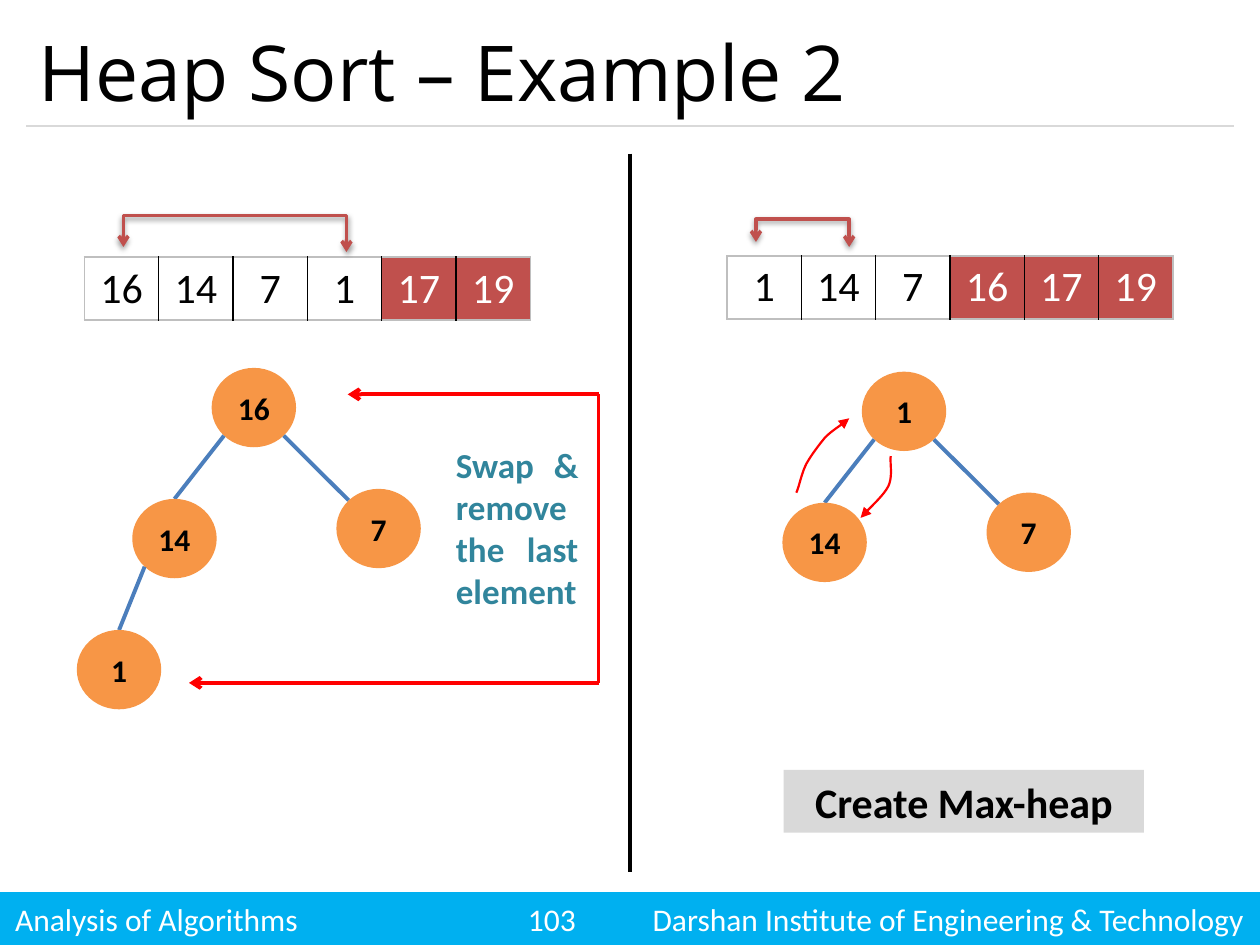
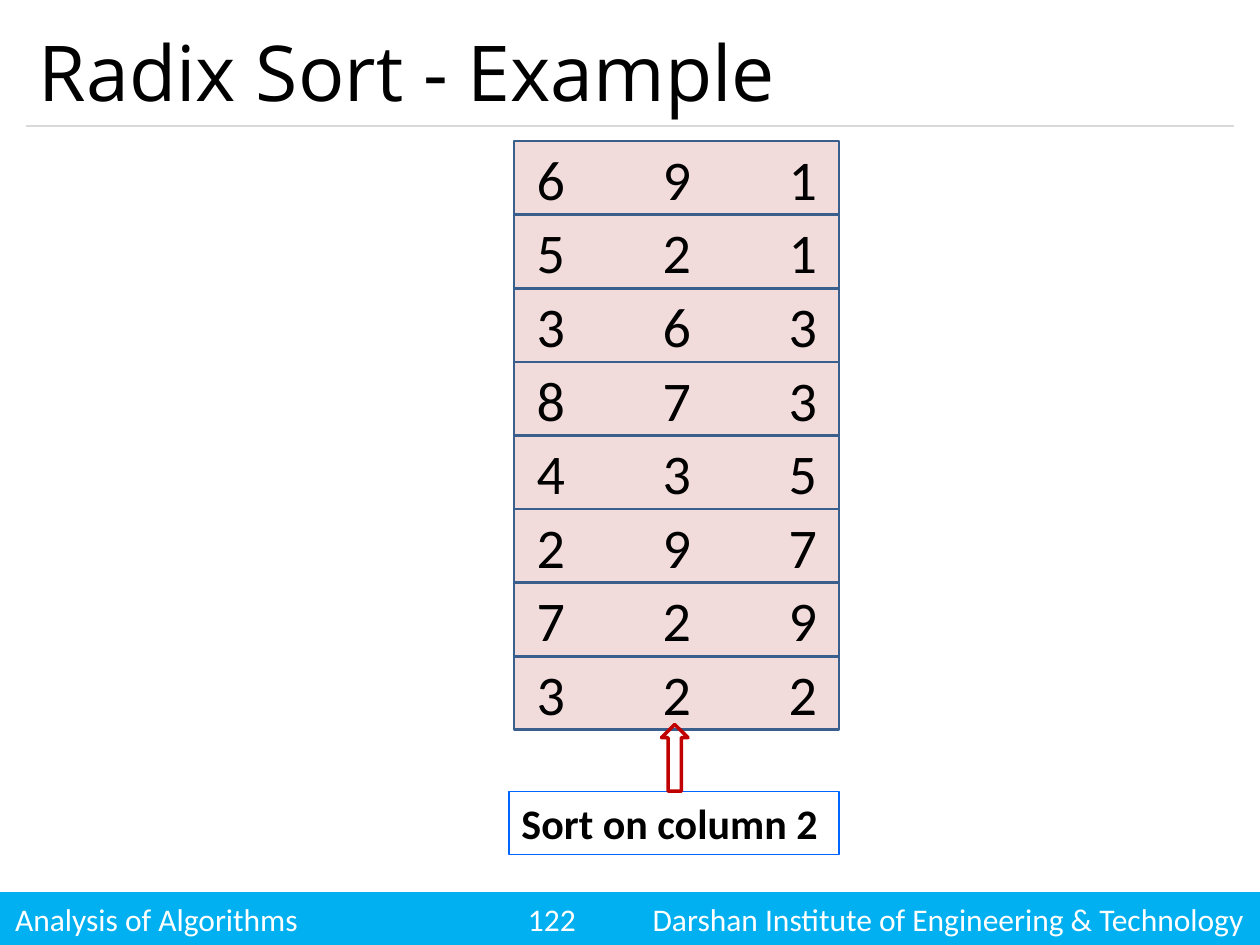
from pptx import Presentation
from pptx import util as u
from pptx.dml.color import RGBColor
from pptx.enum import shapes, text
from pptx.oxml import parse_xml
from pptx.oxml.ns import nsdecls, qn
from lxml import etree

COLORS = {
    "band": "00B0F0", "rule": "D9D9D9", "black": "000000", "white": "FFFFFF",
    "node": "F79646", "edge": "4B7EBC", "sorted": "C0504D", "grid": "BFBFBF",
    "red": "FF0000", "teal": "31859C", "label": "D9D9D9", "row": "F2DCDB",
    "row_line": "3A5F8C", "note_line": "0066FF", "marker": "C00000",
}
BODY, HEADING = "Calibri", "Open Sans"
ALIGN, ANCHOR = text.PP_ALIGN, text.MSO_ANCHOR
SHAPE = shapes.MSO_SHAPE
NODE_W, NODE_H = 0.67, 0.63
DIAGONAL = 0.354  # half-width of an ellipse at 45 degrees


def rgb(name):
    return RGBColor.from_string(COLORS[name])


def write(tf, words, size=18, color="black", bold=False, font=BODY,
          align=ALIGN.LEFT, anchor=ANCHOR.TOP, wrap=True, margins=None, tabs=()):
    tf.word_wrap = wrap
    tf.vertical_anchor = anchor
    if margins is not None:
        tf.margin_left, tf.margin_top, tf.margin_right, tf.margin_bottom = (
            u.Inches(m) for m in margins)
    p = tf.paragraphs[0]
    p.alignment = align
    if tabs:
        tab_list = etree.SubElement(p._p.get_or_add_pPr(), qn("a:tabLst"))
        for stop in tabs:
            etree.SubElement(tab_list, qn("a:tab"), pos=str(u.Inches(stop)), algn="l")
    r = p.add_run()
    r.text = words
    r.font.size, r.font.bold, r.font.name = u.Pt(size), bold, font
    r.font.color.rgb = rgb(color)


def add_text(slide, box, words, **fmt):
    write(slide.shapes.add_textbox(*map(u.Inches, box)).text_frame, words, **fmt)


def style(sp, fill=None, line=None, width=1):
    sp.shadow.inherit = False
    if fill:
        sp.fill.solid()
        sp.fill.fore_color.rgb = rgb(fill)
    else:
        sp.fill.background()
    if line:
        sp.line.color.rgb = rgb(line)
        sp.line.width = u.Pt(width)
    else:
        sp.line.fill.background()


def add_box(slide, kind, box, fill=None, line=None, width=1):
    sp = slide.shapes.add_shape(kind, *map(u.Inches, box))
    style(sp, fill, line, width)
    return sp


def add_arrowheads(sp, **ends):
    ln = sp.element.spPr.find(qn("a:ln"))
    for end in ("head", "tail"):
        if end in ends:
            etree.SubElement(ln, qn(f"a:{end}End"), type=ends[end])


def add_line(slide, start, end, color, width, **ends):
    line = slide.shapes.add_connector(
        shapes.MSO_CONNECTOR.STRAIGHT, *map(u.Inches, (*start, *end)))
    line.line.color.rgb = rgb(color)
    line.line.width = u.Pt(width)
    add_arrowheads(line, **ends)
    etree.SubElement(line.element.spPr, qn("a:effectLst"))


def add_path(slide, points, color, width, **ends):
    points = [(u.Inches(x), u.Inches(y)) for x, y in points]
    builder = slide.shapes.build_freeform(*points[0])
    builder.add_line_segments(points[1:], close=False)
    sp = builder.convert_to_shape()
    style(sp, line=color, width=width)
    add_arrowheads(sp, **ends)
    return sp


def bezier(points, steps=10):
    """Sample a chain of cubic curves: a start, then three points per curve."""
    samples = [points[0]]
    for i in range(0, len(points) - 1, 3):
        a, b, c, d = points[i:i + 4]
        for n in range(1, steps + 1):
            t = n / steps
            s = 1 - t
            samples.append(tuple(
                s**3 * a[k] + 3 * s * s * t * b[k] + 3 * s * t * t * c[k] + t**3 * d[k]
                for k in (0, 1)))
    return samples


# Shared slide frame: title, rule and footer band
def add_frame(prs, title, number):
    slide = prs.slides.add_slide(prs.slide_layouts[6])
    band = add_box(slide, SHAPE.RECTANGLE, (0, 7.08, 10, 0.42), "band")
    footer = f"Analysis of Algorithms\t{number}\tDarshan Institute of Engineering & Technology"
    write(band.text_frame, footer, color="white", anchor=ANCHOR.MIDDLE,
          margins=(0.12, 0.05, 0, 0.05), tabs=(4.07, 5.06))
    add_line(slide, (0.21, 1), (9.79, 1), "rule", 0.75)
    add_text(slide, (0.21, 0.12, 9.58, 0.88), title, size=44, font=HEADING,
             anchor=ANCHOR.MIDDLE)
    return slide


# Array of values; the last ones are already sorted
def add_array(slide, left, top, values, sorted_from):
    cell_w, count = 0.59, len(values)
    frame = slide.shapes.add_table(
        1, count, *map(u.Inches, (left, top, cell_w * count, 0.5)))
    table = frame.table
    table.first_row = table.horz_banding = False
    for i, value in enumerate(values):
        table.columns[i].width = u.Inches(cell_w)
        cell = table.cell(0, i)
        done = i >= sorted_from
        write(cell.text_frame, str(value), size=24, align=ALIGN.CENTER,
              color="white" if done else "black")
        props = cell._tc.get_or_add_tcPr()
        borders = {"L": "black" if i else "grid",
                   "R": "black" if i < count - 1 else "grid",
                   "T": "grid", "B": "grid"}
        for side, color in borders.items():
            props.append(parse_xml(
                f'<a:ln{side} {nsdecls("a")} w="12700"><a:solidFill>'
                f'<a:srgbClr val="{COLORS[color]}"/></a:solidFill></a:ln{side}>'))
        if done:
            cell.fill.solid()
            cell.fill.fore_color.rgb = rgb("sorted")
        else:
            cell.fill.background()


# Bracket with two arrows down to the swapped cells
def add_swap_bracket(slide, left, right, top, left_drop, right_drop):
    sp = add_path(slide, [(right, top + right_drop), (right, top), (left, top),
                          (left, top + left_drop)],
                  "sorted", 2, head="arrow", tail="arrow")
    sp.element.spPr.find(qn("a:effectLst")).append(parse_xml(
        f'<a:outerShdw {nsdecls("a")} blurRad="39370" dist="20320" dir="5400000">'
        '<a:srgbClr val="000000"><a:alpha val="38000"/></a:srgbClr></a:outerShdw>'))


# Heap tree, placed from the corner of its root
def add_heap(slide, left, top, values):
    offsets = [(0, 0), (-0.63, 1.04), (0.99, 0.96), (-1.07, 2.08)]
    centers = [(left + dx + NODE_W / 2, top + dy + NODE_H / 2) for dx, dy in offsets]
    reach_x, reach_y = DIAGONAL * NODE_W, DIAGONAL * NODE_H
    for i, (value, (x, y)) in enumerate(zip(values, centers)):
        if i:
            px, py = centers[(i - 1) // 2]
            if i % 2:
                start, end = (px - reach_x, py + reach_y), (x, y - NODE_H / 2)
            else:
                start, end = (px + reach_x, py + reach_y), (x - reach_x, y - reach_y)
            add_line(slide, start, end, "edge", 2.25)
        node = add_box(slide, SHAPE.OVAL,
                       (x - NODE_W / 2, y - NODE_H / 2, NODE_W, NODE_H), "node")
        write(node.text_frame, str(value), bold=True, align=ALIGN.CENTER,
              anchor=ANCHOR.MIDDLE, wrap=False, margins=(0, 0, 0, 0))


# Red loop from the last element to the root
def add_swap_loop(slide, right, top, bottom):
    add_line(slide, (right, top), (right - 1.99, top), "red", 2.25, tail="arrow")
    add_line(slide, (right, top), (right, bottom), "red", 2.25)
    add_line(slide, (right, bottom), (right - 3.25, bottom), "red", 2.25, tail="arrow")
    add_text(slide, (right - 1.23, top + 0.34, 1.17, 1.45),
             "Swap & remove the last element", size=20, color="teal", bold=True,
             align=ALIGN.JUSTIFY)


def build_heap_sort(prs):
    slide = add_frame(prs, "Heap Sort – Example 2", 103)
    add_line(slide, (5, 1.22), (5, 6.92), "black", 2.25)

    # Left half: swap the root with the last element
    add_heap(slide, 1.68, 2.92, [16, 14, 7, 1])
    add_array(slide, 0.67, 2.04, [16, 14, 7, 1, 17, 19], sorted_from=4)
    add_swap_bracket(slide, 0.98, 2.75, 1.71, 0.25, 0.29)
    add_swap_loop(slide, 4.75, 3.13, 5.42)

    # Right half: restore the heap
    add_heap(slide, 6.84, 2.95, [1, 14, 7])
    add_array(slide, 5.77, 2.03, [1, 14, 7, 16, 17, 19], sorted_from=3)
    add_swap_bracket(slide, 6, 6.74, 1.74, 0.18, 0.22)
    move_up = [(6.32, 3.91), (6.34, 3.87), (6.36, 3.76), (6.4, 3.68), (6.44, 3.61),
               (6.5, 3.53), (6.55, 3.47), (6.61, 3.41), (6.7, 3.36), (6.74, 3.32)]
    move_down = [(7.07, 3.62), (7.06, 3.66), (7.09, 3.78), (7.05, 3.86),
                 (7.01, 3.94), (6.87, 4.06), (6.83, 4.11)]
    for curve in (move_up, move_down):
        add_path(slide, bezier(curve), "red", 1.25, tail="triangle")
    label = add_box(slide, SHAPE.RECTANGLE, (6.22, 6.11, 2.86, 0.5), "label")
    write(label.text_frame, "Create Max-heap", size=24, bold=True, align=ALIGN.CENTER)


# Stack of three-digit numbers
def add_digit_rows(slide, left, top, numbers):
    pitch = 0.584
    for i, number in enumerate(numbers):
        row = add_box(slide, SHAPE.RECTANGLE, (left, top + i * pitch, 2.58, pitch),
                      "row", "row_line", 1.5)
        write(row.text_frame, "\t".join(number), size=32, anchor=ANCHOR.MIDDLE,
              margins=(0.18, 0.05, 0, 0.05), tabs=(1, 2))


def build_radix_sort(prs):
    slide = add_frame(prs, "Radix Sort - Example", 122)
    add_digit_rows(slide, 4.08, 1.12,
                   ["691", "521", "363", "873", "435", "297", "729", "322"])
    note = add_box(slide, SHAPE.RECTANGLE, (4.04, 6.28, 2.62, 0.5), line="note_line",
                   width=0.75)
    write(note.text_frame, "Sort on column 2", size=24, bold=True)
    add_box(slide, SHAPE.UP_ARROW, (5.25, 5.75, 0.21, 0.53), line="marker", width=2)


def main():
    prs = Presentation()
    prs.slide_width, prs.slide_height = u.Inches(10), u.Inches(7.5)
    build_heap_sort(prs)
    build_radix_sort(prs)
    prs.save("out.pptx")


if __name__ == "__main__":
    main()
